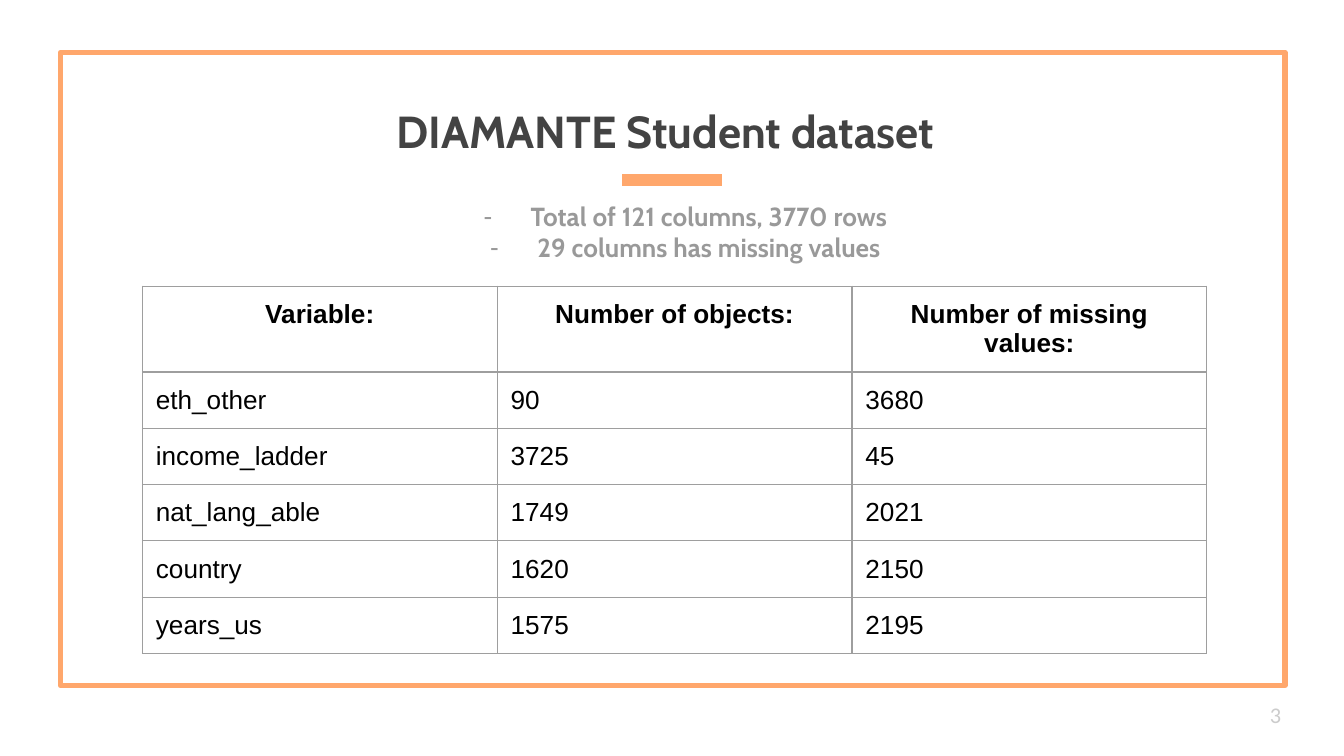
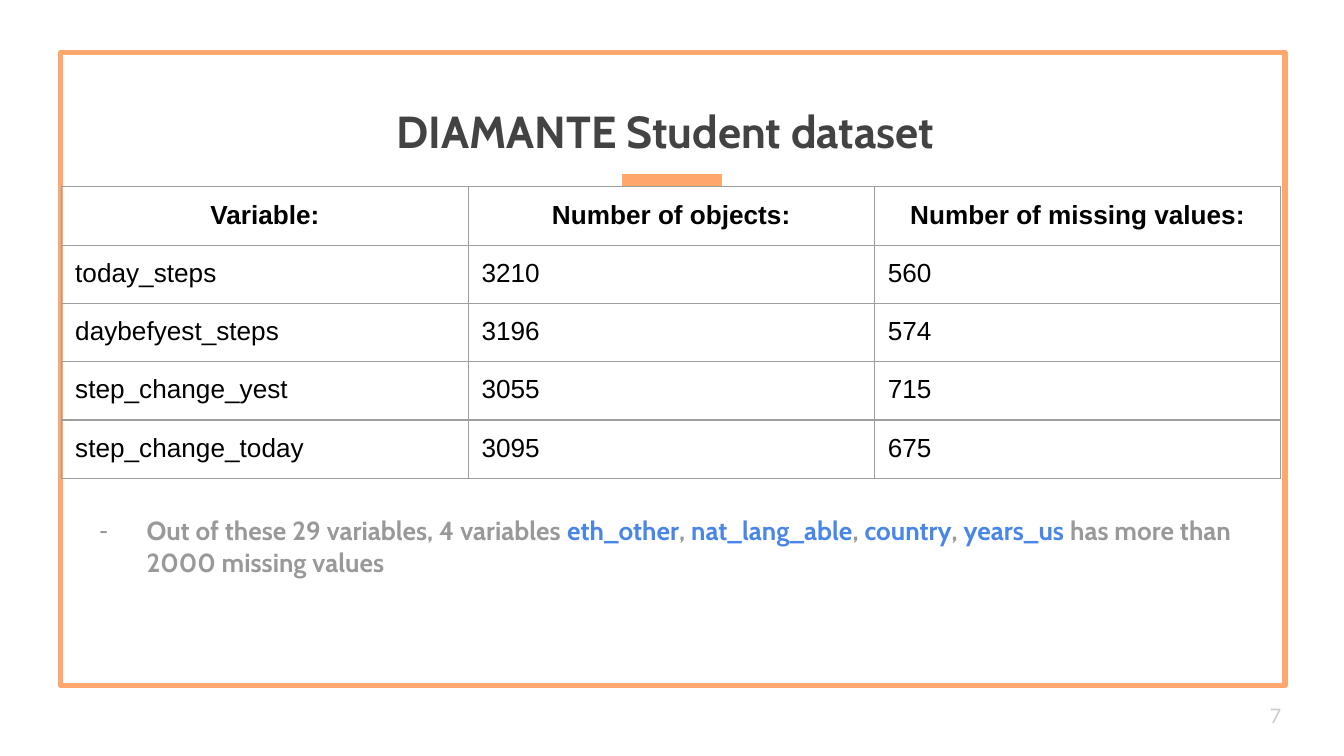
from dataclasses import dataclass

from lxml import etree
from pptx import Presentation, util as u
from pptx.dml.color import RGBColor
from pptx.enum import shapes, text
from pptx.oxml import ns


@dataclass(frozen=True)
class Theme:
    accent: str = "FFA76C"
    title: str = "434343"
    body: str = "999999"
    link: str = "4A86E8"
    number: str = "CCCCCC"
    cell: str = "000000"
    grid: str = "9E9E9E"
    heading_font: str = "Cabin"
    table_font: str = "Arial"
    number_font: str = "Calibri"
    title_size: int = 24
    body_size: int = 14
    number_size: int = 12
    inset: float = 0.1


T = Theme()
SLIDE_WIDTH = 10
SLIDE_HEIGHT = SLIDE_WIDTH * 9 / 16

# Content: a note is a list of (words, colour) runs
TITLE = "DIAMANTE Student dataset"
HEADERS = ("Variable:", "Number of objects:", "Number of missing values:")
SLIDES = [
    {
        "number": "3",
        "notes": [
            [("Total of 121 columns, 3770 rows", T.body)],
            [("29 columns has missing values", T.body)],
        ],
        "notes_box": (0.49, 1.39, 9.07, 3.71),
        "notes_align": text.PP_ALIGN.CENTER,
        "table_box": (1.06, 2.13, 7.92, 2.5),
        "rows": [
            ("eth_other", "90", "3680"),
            ("income_ladder", "3725", "45"),
            ("nat_lang_able", "1749", "2021"),
            ("country", "1620", "2150"),
            ("years_us", "1575", "2195"),
        ],
    },
    {
        "number": "7",
        "notes": [[
            ("Out of these 29 variables, 4 variables ", T.body),
            ("eth_other", T.link), (", ", T.body),
            ("nat_lang_able", T.link), (",", T.body),
            (" country", T.link), (", ", T.body),
            ("years_us", T.link),
            (" has more than 2000 missing values", T.body),
        ]],
        "notes_box": (0.49, 3.73, 9.07, 1.37),
        "notes_align": text.PP_ALIGN.LEFT,
        "table_box": (0.46, 1.39, 9.07, 2.17),
        "rows": [
            ("today_steps", "3210", "560"),
            ("daybefyest_steps", "3196", "574"),
            ("step_change_yest", "3055", "715"),
            ("step_change_today", "3095", "675"),
        ],
    },
]


# Text helpers
def add_run(p, words, font, size, color, bold=False):
    r = p.add_run()
    r.text = words
    r.font.name, r.font.size, r.font.bold = font, u.Pt(size), bold
    r.font.color.rgb = RGBColor.from_string(color)


def place(sp, box):
    sp.left, sp.top, sp.width, sp.height = (u.Inches(v) for v in box)


def set_frame(tf, anchor):
    tf.word_wrap = True
    tf.auto_size = text.MSO_AUTO_SIZE.NONE
    tf.vertical_anchor = anchor
    tf.margin_left = tf.margin_right = u.Inches(T.inset)
    tf.margin_top = tf.margin_bottom = u.Inches(T.inset)


def add_dash(p):
    pPr = p._p.get_or_add_pPr()
    pPr.set("marL", str(u.Inches(0.5)))
    pPr.set("indent", str(u.Inches(-0.35)))
    color = etree.SubElement(pPr, ns.qn("a:buClr"))
    etree.SubElement(color, ns.qn("a:srgbClr"), val=T.body)
    etree.SubElement(pPr, ns.qn("a:buFont"), typeface=T.table_font)
    etree.SubElement(pPr, ns.qn("a:buChar"), char="-")


# Shared slide parts
def add_border(s):
    frame = s.shapes.add_shape(shapes.MSO_SHAPE.RECTANGLE, 0, 0, 0, 0)
    place(frame, (0.45, 0.39, 9.11, 4.71))
    frame.shadow.inherit = False
    frame.fill.background()
    rule = s.shapes.add_connector(
        shapes.MSO_CONNECTOR.STRAIGHT,
        u.Inches(4.63), u.Inches(1.34), u.Inches(5.37), u.Inches(1.34))
    for sp, width in ((frame, 3), (rule, 6)):
        sp.line.color.rgb = RGBColor.from_string(T.accent)
        sp.line.width = u.Pt(width)
    etree.SubElement(rule._element.spPr, ns.qn("a:effectLst"))


def add_title(s):
    place(s.shapes.title, (-0.05, 0.27, 10, 1))
    tf = s.shapes.title.text_frame
    set_frame(tf, text.MSO_ANCHOR.BOTTOM)
    p = tf.paragraphs[0]
    p.alignment = text.PP_ALIGN.CENTER
    add_run(p, TITLE, T.heading_font, T.title_size, T.title, True)


def add_number(s, number):
    sp = s.shapes.add_textbox(0, 0, 0, 0)
    place(sp, (9.35, 5.1, 0.6, 0.43))
    set_frame(sp.text_frame, text.MSO_ANCHOR.MIDDLE)
    add_run(sp.text_frame.paragraphs[0], number,
            T.number_font, T.number_size, T.number)


# Slide-specific parts
def add_notes(s, data):
    body = s.placeholders[1]
    place(body, data["notes_box"])
    tf = body.text_frame
    set_frame(tf, text.MSO_ANCHOR.TOP)
    for i, note in enumerate(data["notes"]):
        p = tf.add_paragraph() if i else tf.paragraphs[0]
        p.alignment = data["notes_align"]
        p.line_spacing = 1.0
        p.space_before = p.space_after = u.Pt(0)
        add_dash(p)
        for words, color in note:
            add_run(p, words, T.heading_font, T.body_size, color, True)


def style_cell(cell):
    cell.margin_left = cell.margin_right = u.Inches(T.inset)
    cell.margin_top = cell.margin_bottom = u.Inches(T.inset)
    tcPr = cell._tc.get_or_add_tcPr()
    for side in ("L", "R", "T", "B"):
        ln = etree.SubElement(tcPr, ns.qn(f"a:ln{side}"), w=str(u.Pt(0.75)))
        fill = etree.SubElement(ln, ns.qn("a:solidFill"))
        etree.SubElement(fill, ns.qn("a:srgbClr"), val=T.grid)
    cell.fill.background()


def add_data_table(s, data):
    rows = [HEADERS] + data["rows"]
    box = [u.Inches(v) for v in data["table_box"]]
    # add_table shares the width and height equally among columns and rows
    table = s.shapes.add_table(len(rows), len(HEADERS), *box).table
    table.first_row = table.horz_banding = False
    for i, values in enumerate(rows):
        for j, value in enumerate(values):
            cell = table.cell(i, j)
            style_cell(cell)
            p = cell.text_frame.paragraphs[0]
            p.alignment = text.PP_ALIGN.LEFT if i else text.PP_ALIGN.CENTER
            add_run(p, value, T.table_font, T.body_size, T.cell, i == 0)


def main():
    prs = Presentation()
    prs.slide_width = u.Inches(SLIDE_WIDTH)
    prs.slide_height = u.Inches(SLIDE_HEIGHT)
    for data in SLIDES:
        s = prs.slides.add_slide(prs.slide_layouts[1])
        add_border(s)
        add_notes(s, data)
        add_title(s)
        add_number(s, data["number"])
        add_data_table(s, data)
    prs.save("out.pptx")


if __name__ == "__main__":
    main()
